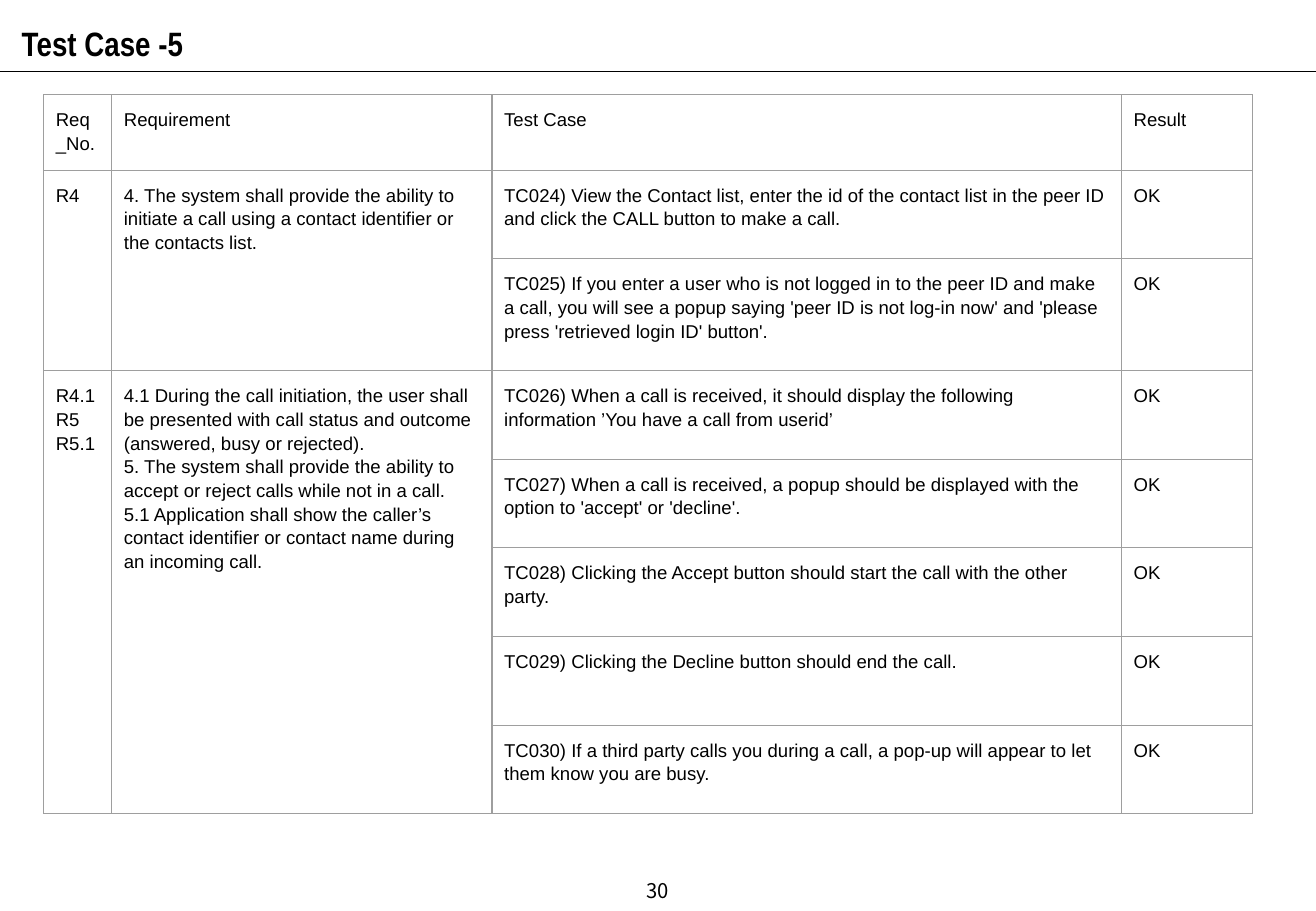
from lxml.etree import SubElement
from pptx import Presentation
from pptx.dml.color import RGBColor
from pptx.enum.shapes import MSO_CONNECTOR as Connector
from pptx.enum.text import MSO_ANCHOR as Anchor, PP_ALIGN as Align
from pptx.oxml import parse_xml
from pptx.oxml.ns import nsdecls, qn
from pptx.util import Inches, Pt

WIDTH, HEIGHT = Inches(10.83), Inches(7.5)
COLORS = {"text": "000000", "rule": "000000", "border": "9E9E9E"}
BORDER_WIDTH = Pt(0.75)

# Column widths and row heights, in percent of the slide
COLUMNS = [5.17, 28.9, 47.83, 9.97]
ROW, HEADER_ROW, TALL_ROW = 9.73, 7.2, 12.27
TALL_CASES = {"TC025"}

HEADINGS = ["Req_No.", "Requirement", "Test Case", "Result"]
GROUPS = [
    (
        ["R4"],
        ["4. The system shall provide the ability to initiate a call using a contact "
         "identifier or the contacts list."],
        [
            "TC024) View the Contact list, enter the id of the contact list in the peer ID "
            "and click the CALL button to make a call.",
            "TC025) If you enter a user who is not logged in to the peer ID and make a call, "
            "you will see a popup saying 'peer ID is not log-in now' and 'please press "
            "'retrieved login ID' button'.",
        ],
    ),
    (
        ["R4.1", "R5", "R5.1"],
        [
            "4.1 During the call initiation, the user shall be presented with call status "
            "and outcome (answered, busy or rejected).",
            "5. The system shall provide the ability to accept or reject calls while not "
            "in a call.",
            "5.1 Application shall show the caller’s contact identifier or contact name "
            "during an incoming call.",
        ],
        [
            "TC026) When a call is received, it should display the following information "
            "’You have a call from userid’",
            "TC027) When a call is received, a popup should be displayed with the option to "
            "'accept' or 'decline'.",
            "TC028) Clicking the Accept button should start the call with the other party.",
            "TC029) Clicking the Decline button should end the call.",
            "TC030) If a third party calls you during a call, a pop-up will appear to let "
            "them know you are busy.",
        ],
    ),
]


def across(percent):
    return round(WIDTH * percent / 100)


def down(percent):
    return round(HEIGHT * percent / 100)


def write(frame, lines, size=11, font="Arial", bold=False, align=Align.LEFT, spacing=1.0):
    """Fill a text frame with one paragraph per line."""
    frame.word_wrap = True
    for index, line in enumerate(lines):
        paragraph = frame.add_paragraph() if index else frame.paragraphs[0]
        paragraph.alignment = align
        paragraph.line_spacing = spacing
        run = paragraph.add_run()
        run.text = line
        run.font.size = Pt(size)
        run.font.name = font
        run.font.bold = bold
        run.font.color.rgb = RGBColor.from_string(COLORS["text"])


def add_text(slide, left, top, width, height, text, anchor=Anchor.TOP, **text_format):
    box = slide.shapes.add_textbox(across(left), down(top), across(width), down(height))
    box.text_frame.vertical_anchor = anchor
    write(box.text_frame, [text], **text_format)


def add_rule(slide, top):
    line = slide.shapes.add_connector(Connector.STRAIGHT, 0, down(top), WIDTH, down(top))
    line.line.width = Pt(0.75)
    line.line.color.rgb = RGBColor.from_string(COLORS["rule"])
    SubElement(line._element.spPr, qn("a:effectLst"))


def style_cell(cell):
    """Clear the fill, set even margins and draw all four borders."""
    cell.margin_left = cell.margin_right = Inches(0.1)
    cell.margin_top = cell.margin_bottom = Inches(0.1)
    cell.fill.background()
    properties = cell._tc.get_or_add_tcPr()
    for index, side in enumerate(["lnL", "lnR", "lnT", "lnB"]):
        properties.insert(index, parse_xml(
            f'<a:{side} {nsdecls("a")} w="{BORDER_WIDTH}"><a:solidFill>'
            f'<a:srgbClr val="{COLORS["border"]}"/></a:solidFill></a:{side}>'))


def add_case_table(slide, left, top):
    cases = [case for _, _, group_cases in GROUPS for case in group_cases]
    heights = [HEADER_ROW] + [
        TALL_ROW if case.split(")")[0] in TALL_CASES else ROW for case in cases]
    table = slide.shapes.add_table(
        len(heights), len(COLUMNS), across(left), down(top),
        across(sum(COLUMNS)), down(sum(heights))).table
    table.first_row = table.horz_banding = False
    for column, width in zip(table.columns, COLUMNS):
        column.width = across(width)
    for row, height in zip(table.rows, heights):
        row.height = down(height)
    for cell in table.iter_cells():
        style_cell(cell)

    def fill(row, column, lines):
        write(table.cell(row, column).text_frame, lines, spacing=1.15)

    for column, heading in enumerate(HEADINGS):
        fill(0, column, [heading])
    first = 1
    for numbers, requirements, group_cases in GROUPS:
        last = first + len(group_cases) - 1
        for column, lines in enumerate([numbers, requirements]):
            table.cell(first, column).merge(table.cell(last, column))
            fill(first, column, lines)
        for row, case in enumerate(group_cases, first):
            fill(row, 2, [case])
            fill(row, 3, ["OK"])
        first = last + 1


def main():
    presentation = Presentation()
    presentation.slide_width, presentation.slide_height = WIDTH, HEIGHT
    slide = presentation.slides.add_slide(presentation.slide_layouts[6])
    add_rule(slide, 7.87)
    add_text(slide, 0.74, 0.93, 72.11, 5.87, "Test Case -5",
             size=20, font="Arial Narrow", bold=True, spacing=1.2)
    add_case_table(slide, 3.32, 10.4)
    add_text(slide, 38.32, 95.07, 23.36, 5.33, "30", anchor=Anchor.MIDDLE,
             size=12, font="Noto Sans CJK KR", align=Align.CENTER)
    presentation.save("out.pptx")


if __name__ == "__main__":
    main()
